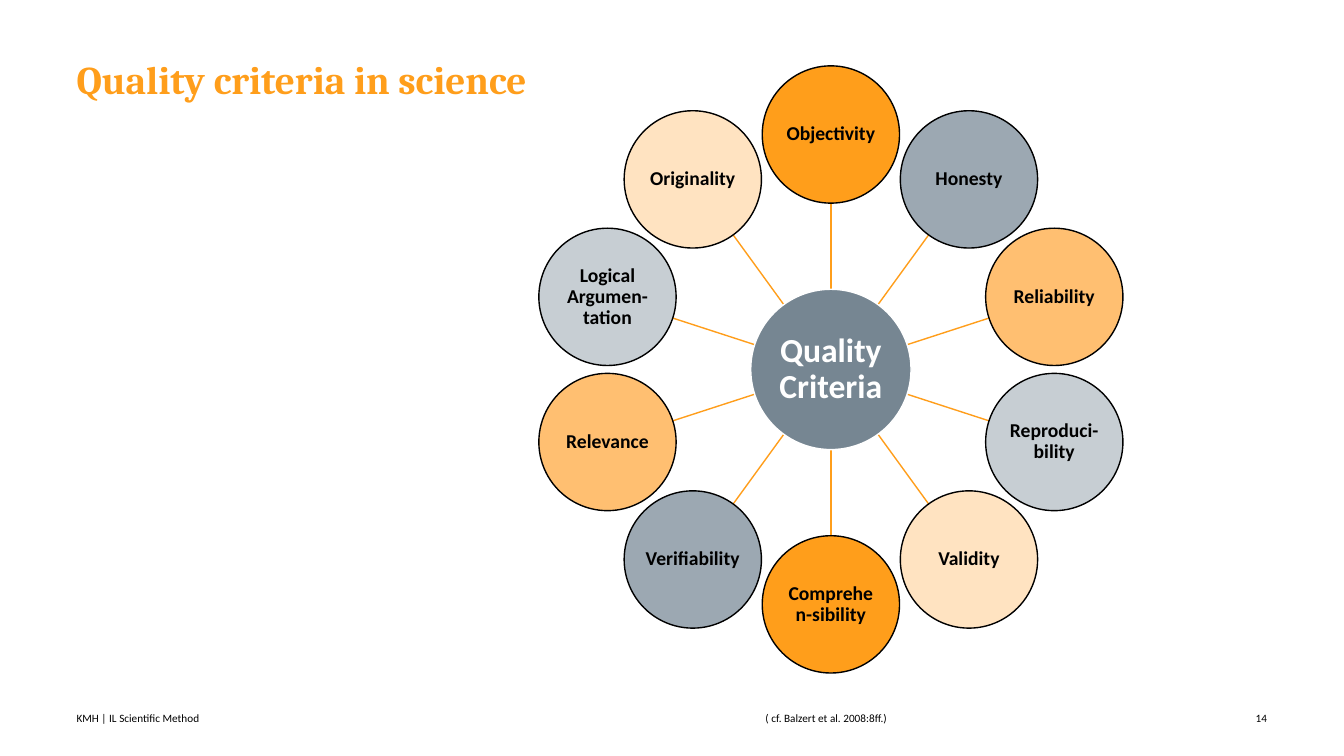
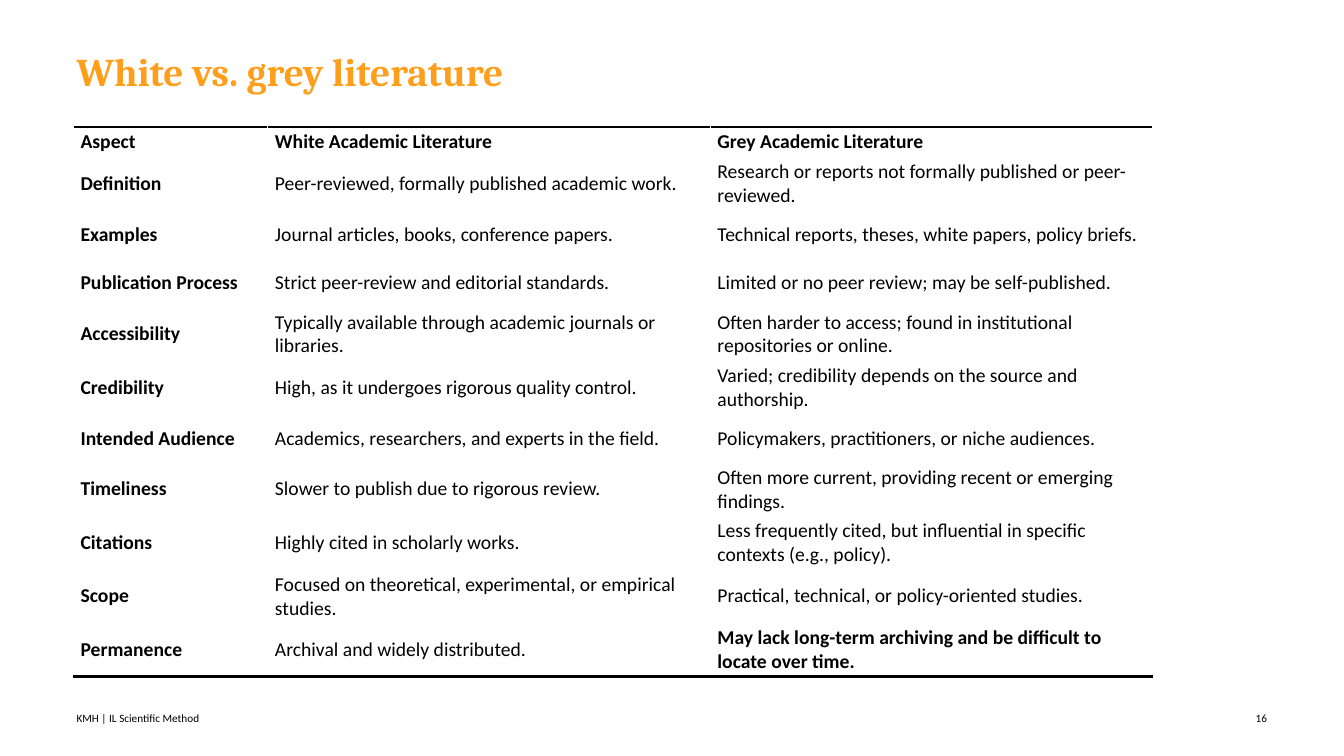
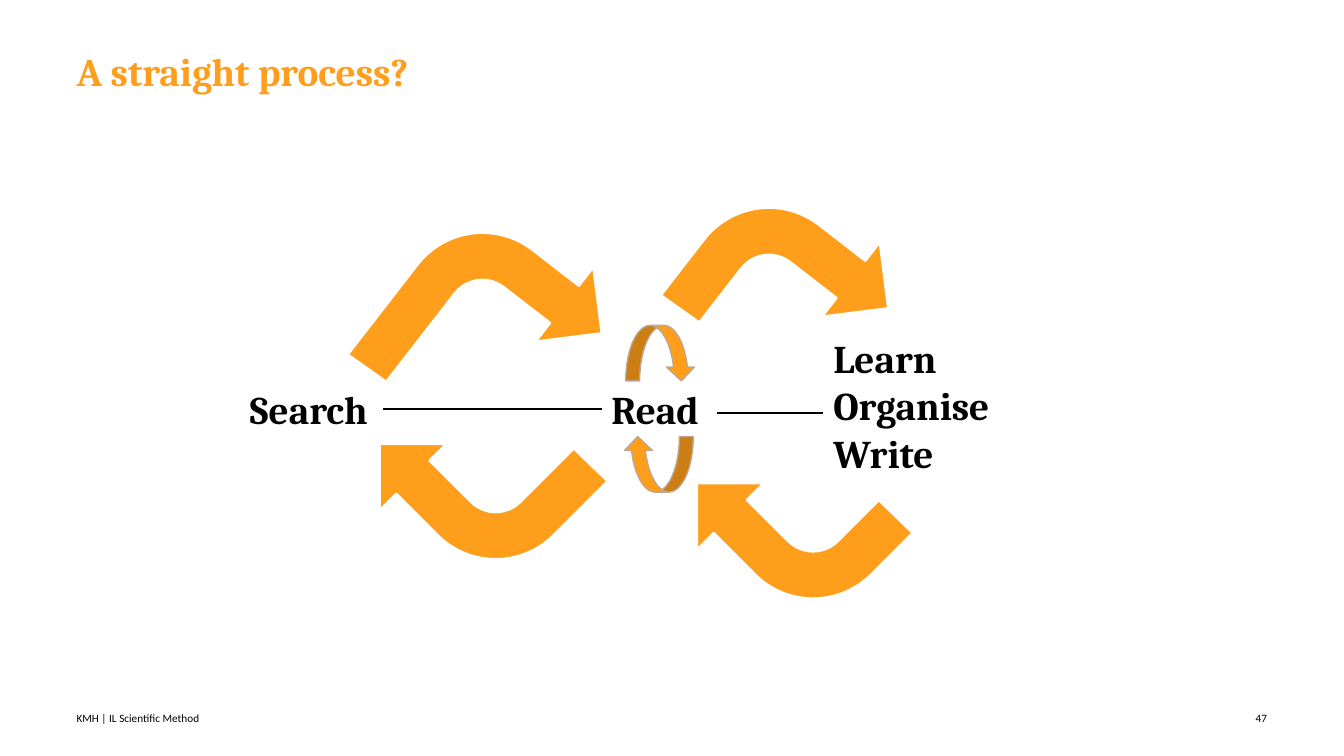
from dataclasses import dataclass
from itertools import cycle
from math import cos, radians, sin

from lxml.etree import SubElement
from pptx import Presentation
from pptx.dml.color import RGBColor
from pptx.enum.shapes import MSO_CONNECTOR, MSO_SHAPE
from pptx.enum.text import MSO_ANCHOR, PP_ALIGN
from pptx.oxml import parse_xml
from pptx.oxml.ns import nsdecls, qn
from pptx.util import Cm, Pt


@dataclass(frozen=True)
class Theme:
    orange: str = "FF9E1B"
    light_orange: str = "FFBF71"
    pale_orange: str = "FFE3C1"
    slate: str = "768692"
    grey: str = "9CA8B2"
    light_grey: str = "C7CED3"
    tan: str = "BDA88F"
    black: str = "000000"
    white: str = "FFFFFF"
    heading_font: str = "Cambria"
    body_font: str = "Calibri"
    title_size: int = 28
    hub_size: int = 24
    body_size: int = 14
    footer_size: int = 8


theme = Theme()


def write(frame, text, size=theme.body_size, font=theme.body_font, color=theme.black,
          bold=False, align=PP_ALIGN.LEFT, spacing=None, anchor=None, inset=None):
    """Fill a text frame, one paragraph for each line of text."""
    frame.word_wrap = True
    if anchor is not None:
        frame.vertical_anchor = anchor
    if inset is not None:
        frame.margin_left = frame.margin_right = Cm(inset)
        frame.margin_top = frame.margin_bottom = Cm(inset)
    for index, line in enumerate(text.split("\n")):
        para = frame.add_paragraph() if index else frame.paragraphs[0]
        para.alignment = align
        if spacing:
            para.line_spacing = spacing
        span = para.add_run()
        span.text = line
        span.font.name = font
        span.font.size = Pt(size)
        span.font.bold = bold
        span.font.color.rgb = RGBColor.from_string(color)


def style(item, line=None, width=1, fill=None):
    """Set line and fill of a shape or connector and drop its shadow."""
    if line:
        item.line.color.rgb = RGBColor.from_string(line)
        item.line.width = Pt(width)
    else:
        item.line.fill.background()
    if fill:
        item.fill.solid()
        item.fill.fore_color.rgb = RGBColor.from_string(fill)
        item.shadow.inherit = False
    else:
        SubElement(item._element.spPr, qn("a:effectLst"))


deck = Presentation()
deck.slide_width, deck.slide_height = Cm(33.87), Cm(19.05)

# Titles, footers and page numbers
pages = []
for title, title_top, number in [
    ("Quality criteria in science", 1.52, "14"),
    ("White vs. grey literature", 1.32, "16"),
    ("A straight process?", 1.32, "47"),
]:
    page = deck.slides.add_slide(deck.slide_layouts[6])
    pages.append(page)
    box = page.shapes.add_textbox(Cm(1.93), Cm(title_top), Cm(26), Cm(2.21))
    write(box.text_frame, title, size=theme.title_size, font=theme.heading_font,
          color=theme.orange, bold=True, spacing=0.9, inset=0)
    footers = [("KMH | IL Scientific Method", 1.93, 14.2, PP_ALIGN.LEFT),
               (number, 30.53, 1.4, PP_ALIGN.RIGHT)]
    if number == "14":
        footers.append(("( cf. Balzert et al. 2008:8ff.)", 15.72, 10.21, PP_ALIGN.CENTER))
    for text, left, width, align in footers:
        box = page.shapes.add_textbox(Cm(left), Cm(17.88), Cm(width), Cm(0.41))
        write(box.text_frame, text, size=theme.footer_size, align=align,
              anchor=MSO_ANCHOR.MIDDLE, inset=0)

criteria_page, literature_page, process_page = pages

# Criteria wheel: hub first, then spokes and petals clockwise from the top
center_x, center_y = 20.94, 9.31
hub_size, petal_size, ring_radius = 4.04, 3.46, 5.92
criteria = ["Objectivity", "Honesty", "Reliability", "Reproduci-bility", "Validity",
            "Comprehen-sibility", "Verifiability", "Relevance",
            "Logical Argumen-tation", "Originality"]
petal_colors = cycle([theme.orange, theme.grey, theme.light_orange,
                      theme.light_grey, theme.pale_orange])
circles = [("Quality Criteria", center_x, center_y, hub_size, theme.slate,
            theme.white, theme.white, theme.hub_size)]
for index, (criterion, petal_color) in enumerate(zip(criteria, petal_colors)):
    angle = radians(index * 360 / len(criteria))
    across, up = sin(angle), cos(angle)
    inner, outer = hub_size / 2, ring_radius - petal_size / 2
    spoke = criteria_page.shapes.add_connector(
        MSO_CONNECTOR.STRAIGHT,
        Cm(center_x + inner * across), Cm(center_y - inner * up),
        Cm(center_x + outer * across), Cm(center_y - outer * up))
    style(spoke, line=theme.orange)
    circles.append((criterion, center_x + ring_radius * across,
                    center_y - ring_radius * up, petal_size, petal_color,
                    theme.black, theme.black, theme.body_size))
for text, x, y, diameter, fill, line, color, size in circles:
    circle = criteria_page.shapes.add_shape(
        MSO_SHAPE.OVAL, Cm(x - diameter / 2), Cm(y - diameter / 2),
        Cm(diameter), Cm(diameter))
    style(circle, line=line, fill=fill)
    write(circle.text_frame, text, size=size, color=color, bold=True,
          align=PP_ALIGN.CENTER, spacing=0.9, anchor=MSO_ANCHOR.MIDDLE, inset=0.03)

# Literature table
rows = [
    ("Aspect", "White Academic Literature", "Grey Academic Literature"),
    ("Definition", "Peer-reviewed, formally published academic work.",
     "Research or reports not formally published or peer-reviewed."),
    ("Examples", "Journal articles, books, conference papers.",
     "Technical reports, theses, white papers, policy briefs."),
    ("Publication Process", "Strict peer-review and editorial standards.",
     "Limited or no peer review; may be self-published."),
    ("Accessibility", "Typically available through academic journals or libraries.",
     "Often harder to access; found in institutional repositories or online."),
    ("Credibility", "High, as it undergoes rigorous quality control.",
     "Varied; credibility depends on the source and authorship."),
    ("Intended Audience", "Academics, researchers, and experts in the field.",
     "Policymakers, practitioners, or niche audiences."),
    ("Timeliness", "Slower to publish due to rigorous review.",
     "Often more current, providing recent or emerging findings."),
    ("Citations", "Highly cited in scholarly works.",
     "Less frequently cited, but influential in specific contexts (e.g., policy)."),
    ("Scope", "Focused on theoretical, experimental, or empirical studies.",
     "Practical, technical, or policy-oriented studies."),
    ("Permanence", "Archival and widely distributed.",
     "May lack long-term archiving and be difficult to locate over time."),
]
last_row, last_column = len(rows) - 1, len(rows[0]) - 1
table = literature_page.shapes.add_table(
    len(rows), len(rows[0]), Cm(1.85), Cm(3.2), Cm(27.2), Cm(12.89)).table
table.first_row = table.horz_banding = False
for column, width in zip(table.columns, (4.9, 11.15, 11.15)):
    column.width = Cm(width)
for r, texts in enumerate(rows):
    table.rows[r].height = Cm(1.22 if r else 0.69)
    for c, text in enumerate(texts):
        cell = table.cell(r, c)
        cell.fill.solid()
        cell.fill.fore_color.rgb = RGBColor.from_string(theme.white)
        cell.vertical_anchor = MSO_ANCHOR.MIDDLE
        cell.margin_left = cell.margin_right = Cm(0.18)
        cell.margin_top = cell.margin_bottom = Cm(0.08)
        write(cell.text_frame, text,
              bold=r == 0 or c == 0 or (r, c) == (last_row, last_column))
        if r in (0, last_row):
            side = "lnB" if r else "lnT"
            border = parse_xml(
                f'<a:{side} {nsdecls("a")} w="{Pt(2)}"><a:solidFill>'
                f'<a:srgbClr val="{theme.black}"/></a:solidFill></a:{side}>')
            cell._tc.get_or_add_tcPr().insert(0, border)

# Process arrows, each with a white block that shortens its tail
bent_arrow, block, loop = MSO_SHAPE.BENT_ARROW, MSO_SHAPE.RECTANGLE, MSO_SHAPE.CURVED_DOWN_ARROW
looks = {
    bent_arrow: (4.72, 6.55, theme.orange, theme.white, 1.5),
    block: (3.99, 2.59, theme.white, None, 0),
    loop: (1.75, 1.4, theme.orange, theme.tan, 1),
}
for kind, left, top, rotation in [
    (bent_arrow, 16.87, 4.7, 37.8), (block, 15.06, 7.98, 35.3),
    (bent_arrow, 9.65, 5.33, 37.8), (block, 6.81, 9.22, 35.3),
    (bent_arrow, 10.36, 8.1, 225), (block, 14.1, 9.83, 44.1),
    (bent_arrow, 18.36, 9.09, 225), (block, 21.26, 10.62, 44.1),
    (loop, 15.72, 11, 180), (loop, 15.77, 8.2, 0),
]:
    width, height, fill, line, line_width = looks[kind]
    shape = process_page.shapes.add_shape(kind, Cm(left), Cm(top), Cm(width), Cm(height))
    shape.rotation = rotation
    style(shape, line=line, width=line_width, fill=fill)

# Process steps and the lines between them
steps = []
for text, left, top, width, height in [
    ("Search", 6.05, 9.58, 3.61, 1.45),
    ("Read", 15.16, 9.58, 2.87, 1.45),
    ("Learn\nOrganise\nWrite", 20.75, 8.31, 4.6, 3.84),
]:
    box = process_page.shapes.add_textbox(Cm(left), Cm(top), Cm(width), Cm(height))
    write(box.text_frame, text, size=theme.title_size, font=theme.heading_font, bold=True)
    steps.append(box)
search, read, learn = steps
links = []
for start, end, y in [(9.66, 15.16, 10.31), (18.06, 20.73, 10.41)]:
    link = process_page.shapes.add_connector(
        MSO_CONNECTOR.STRAIGHT, Cm(start), Cm(y), Cm(end), Cm(y))
    style(link, line=theme.black, width=1.5)
    links.append(link)
links[0].begin_connect(search, 3)
links[0].end_connect(read, 1)

deck.save("out.pptx")
